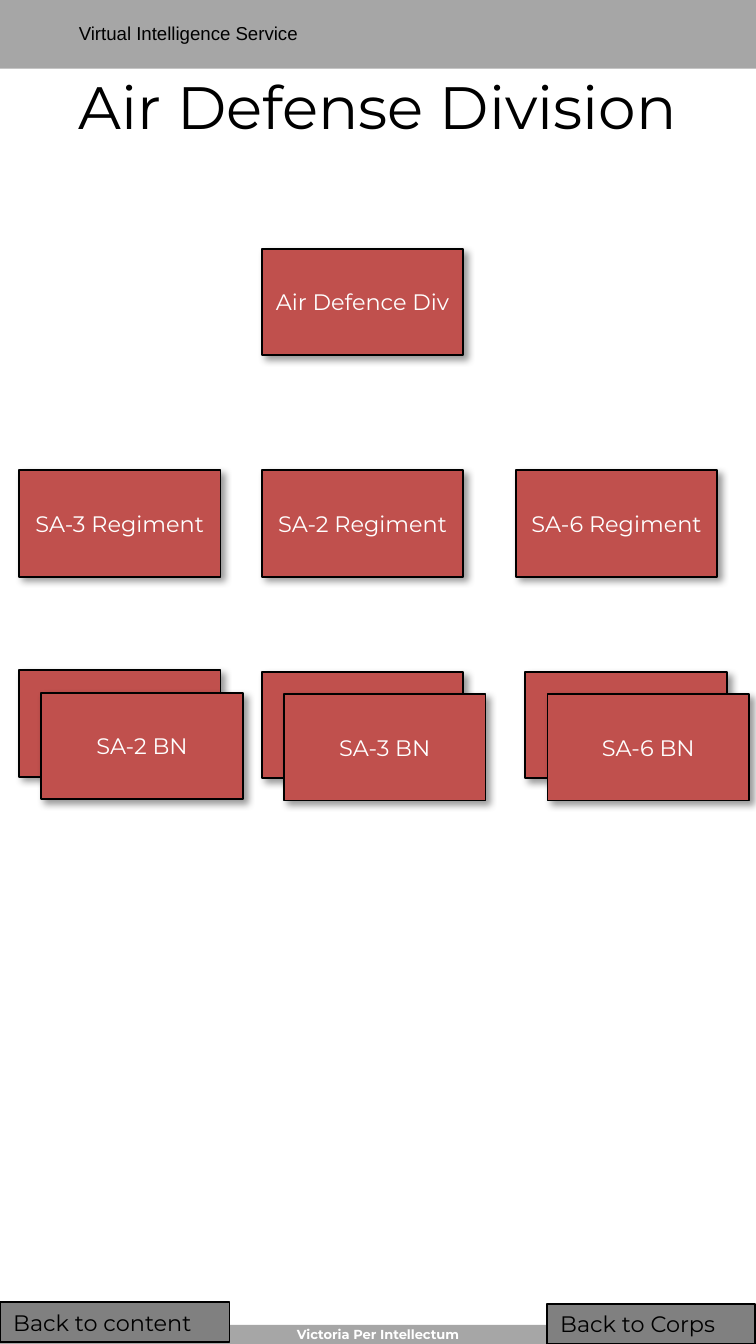
"""Build the Air Defense Division organisation slide."""
from lxml.etree import SubElement
from pptx import Presentation
from pptx.dml.color import RGBColor
from pptx.enum.shapes import MSO_SHAPE as Shape
from pptx.enum.text import MSO_ANCHOR as Anchor, PP_ALIGN as Align
from pptx.oxml.ns import qn
from pptx.util import Cm, Pt

COLORS = {"band": "A6A6A6", "unit": "C0504D", "button": "808080",
          "black": "000000", "white": "FFFFFF"}
WIDTH, HEIGHT = 14.29, 25.4
UNIT_WIDTH, UNIT_HEIGHT = 3.81, 2.01
STACK_STEP = 0.42

BANDS = [(0, 1.3), (25.04, 0.36)]
UNITS = [
    ("Air Defence Div", 4.95, 4.7),
    ("SA-3 Regiment", 0.36, 8.89),
    ("SA-2 Regiment", 4.95, 8.89),
    ("SA-6 Regiment", 9.75, 8.89),
]
BATTALIONS = [
    ("SA-2 BN", 0.36, 12.67),
    ("SA-3 BN", 4.95, 12.7),
    ("SA-6 BN", 9.93, 12.7),
]
BUTTONS = [
    ("Back to content", 0, 24.61, 4.34),
    ("Back to Corps", 10.34, 24.64, 3.94),
]


def color(name):
    return RGBColor.from_string(COLORS[name])


def write(shape, text, size=12, font="Montserrat", ink="black", bold=False,
          align=Align.LEFT, anchor=Anchor.TOP, inset=None):
    frame = shape.text_frame
    frame.word_wrap = True
    frame.vertical_anchor = anchor
    if inset is not None:
        frame.margin_left = frame.margin_right = Cm(inset)
        frame.margin_top = frame.margin_bottom = Cm(inset)
    para = frame.paragraphs[0]
    para.alignment = align
    span = para.add_run()
    span.text = text
    span.font.size = Pt(size)
    span.font.name = font
    span.font.bold = bold
    span.font.color.rgb = color(ink)


def add_box(page, left, top, width, height, fill, outlined=True):
    box = page.shapes.add_shape(Shape.RECTANGLE, Cm(left), Cm(top), Cm(width), Cm(height))
    box.shadow.inherit = False
    box.fill.solid()
    box.fill.fore_color.rgb = color(fill)
    if outlined:
        box.line.color.rgb = color("black")
        box.line.width = Pt(1)
    else:
        box.line.fill.background()
    return box


def add_label(page, left, top, width, height, text, **style):
    label = page.shapes.add_textbox(Cm(left), Cm(top), Cm(width), Cm(height))
    write(label, text, **style)


def add_shadow(box):
    effects = box._element.spPr.find(qn("a:effectLst"))
    shadow = SubElement(effects, qn("a:outerShdw"), blurRad=str(Pt(4)), dist=str(Pt(3)),
                        dir=str(45 * 60000), algn="tl", rotWithShape="0")
    tint = SubElement(shadow, qn("a:srgbClr"), val=COLORS["black"])
    SubElement(tint, qn("a:alpha"), val="40000")


def add_unit(page, left, top, text=None):
    box = add_box(page, left, top, UNIT_WIDTH, UNIT_HEIGHT, "unit")
    add_shadow(box)
    if text:
        write(box, text, ink="white", align=Align.CENTER, anchor=Anchor.MIDDLE)


def main():
    deck = Presentation()
    deck.slide_width, deck.slide_height = Cm(WIDTH), Cm(HEIGHT)
    page = deck.slides.add_slide(deck.slide_layouts[6])

    for top, height in BANDS:
        add_box(page, 0, top, WIDTH, height, "band", outlined=False)
    add_label(page, 1.24, 0.28, 9.8, 0.69, "Virtual Intelligence Service",
              size=10, font="Arial")
    add_label(page, 0, 25.07, WIDTH, 0.3, "Victoria Per Intellectum",
              size=7, ink="white", bold=True, align=Align.CENTER, inset=0)
    add_label(page, 0, 1.3, WIDTH, 1.4, "Air Defense Division",
              size=32, align=Align.CENTER, anchor=Anchor.MIDDLE)

    for text, left, top in UNITS:
        add_unit(page, left, top, text)
    for text, left, top in BATTALIONS:
        add_unit(page, left, top)
        add_unit(page, left + STACK_STEP, top + STACK_STEP, text)
    for text, left, top, width in BUTTONS:
        write(add_box(page, left, top, width, 0.76, "button"), text)

    deck.save("out.pptx")


if __name__ == "__main__":
    main()
